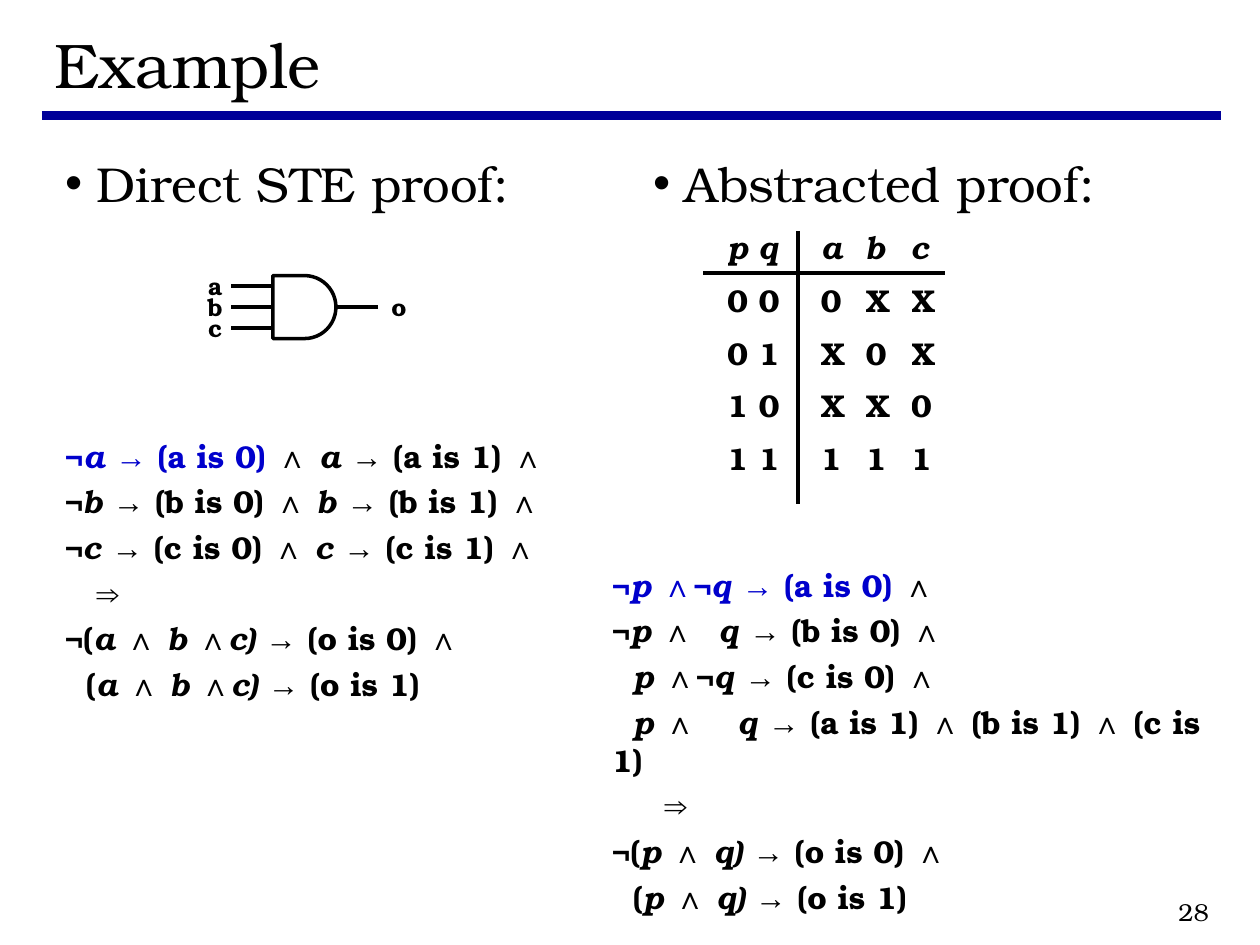
from itertools import groupby
from lxml.etree import SubElement
from pptx import Presentation
from pptx.dml.color import RGBColor
from pptx.enum.shapes import MSO_CONNECTOR, MSO_SHAPE
from pptx.enum.text import MSO_ANCHOR, MSO_AUTO_SIZE, PP_ALIGN
from pptx.oxml.ns import qn
from pptx.util import Inches, Pt

THEME = {
    "font": "TeX Gyre Bonum", "sign": "Arial",
    "ink": RGBColor(0, 0, 0), "blue": RGBColor(0, 0, 0xCC),
    "rule": RGBColor(0, 0, 0x99),
    "title": Pt(36), "body": Pt(28), "math": Pt(18), "small": Pt(14),
}
SIGNS = "¬→∧⇒"

deck = Presentation()
deck.slide_width, deck.slide_height = Inches(10), Inches(7.5)
UNIT = deck.slide_width / 120  # the slide is a grid of 120 columns by 90 rows
slide = deck.slides.add_slide(deck.slide_layouts[3])
shapes = slide.shapes


def write(par, text, size, bold=False, color="ink"):
    """Add runs: *stars* mark italics, and logic signs get their own font."""
    for n, part in enumerate(text.split("*")):
        for sign, chars in groupby(part, lambda c: c in SIGNS):
            run = par.add_run()
            run.text = "".join(chars)
            look = {"name": THEME["sign" if sign else "font"],
                    "size": THEME[size], "bold": bold, "italic": n % 2 == 1}
            for key, value in look.items():
                setattr(run.font, key, value)
            run.font.color.rgb = THEME[color]


def stroke(x1, y1, x2, y2, color="ink", width=2):
    ends = [round(v * UNIT) for v in (x1, y1, x2, y2)]
    line = shapes.add_connector(MSO_CONNECTOR.STRAIGHT, *ends)
    line.line.color.rgb = THEME[color]
    line.line.width = Pt(width)
    SubElement(line._element.spPr, qn("a:effectLst"))


# Title and the two headings
stroke(4, 11, 116.3, 11, "rule", 5)
heads = [
    (0, "Example", "title", (4, 2, 112.3, 8)),
    (1, "Direct STE proof:", "body", (5, 14, 55.3, 7)),
    (2, "Abstracted proof:", "body", (61, 14, 55.3, 8)),
]
for idx, text, size, area in heads:
    holder = slide.placeholders[idx]
    for key, value in zip(("left", "top", "width", "height"), area):
        setattr(holder, key, round(value * UNIT))
    frame = holder.text_frame
    frame.auto_size = MSO_AUTO_SIZE.NONE
    frame.vertical_anchor = MSO_ANCHOR.TOP if idx else MSO_ANCHOR.MIDDLE
    par = frame.paragraphs[0]
    par.alignment = PP_ALIGN.LEFT
    par.space_before = Pt(0)
    if idx:
        props = par._p.get_or_add_pPr()
        props.set("marL", str(Inches(0.25)))
        props.set("indent", str(-Inches(0.25)))
        SubElement(props, qn("a:buChar"), char="•")
    write(par, text, size)

# AND gate
gate = shapes.add_shape(MSO_SHAPE.FLOWCHART_DELAY,
                        *[round(v * UNIT) for v in (26, 26.25, 6, 6)])
gate.shadow.inherit = False
gate.fill.background()
gate.line.color.rgb = THEME["ink"]
gate.line.width = Pt(2)
MID = 29.25
boxes = []
for n, name in enumerate("abc"):
    y = MID + 2 * (n - 1)
    stroke(26, y, 22, y)
    boxes.append(((17, y - 2, 7, 4), [(0, name)], "small", True, PP_ALIGN.CENTER))
stroke(36, MID, 32, MID)
boxes.append(((34, MID - 2, 8, 4), [(0, "o")], "small", True, PP_ALIGN.CENTER))

# Proofs: first-line indent in grid columns, then text; blue part before "|"
direct = [
    (0, "¬*a *→ (a is 0) |∧ *a *→ (a is 1) ∧"),
    (0, "¬*b *→ (b is 0) ∧ *b *→ (b is 1) ∧"),
    (0, "¬*c *→ (c is 0) ∧ *c *→ (c is 1) ∧"),
    (3, "⇒"),
    (0, "¬(*a *∧ *b *∧*c) *→ (o is 0) ∧"),
    (2, "(*a *∧ *b *∧*c) *→ (o is 1)"),
]
brief = [
    (0, "¬*p *∧¬*q *→ (a is 0) |∧"),
    (0, "¬*p *∧\t*q *→ (b is 0) ∧"),
    (2, "*p *∧¬*q *→ (c is 0) ∧"),
    (2, "*p *∧\t*q *→ (a is 1) ∧ (b is 1) ∧ (c is 1)"),
    (5, "⇒"),
    (0, "¬(*p *∧ *q) *→ (o is 0) ∧"),
    (2, "(*p *∧ *q) *→ (o is 1)"),
]
boxes += [
    ((5, 41, 49, 31), direct, "math", True, PP_ALIGN.LEFT),
    ((57.1, 53.3, 59, 35.3), brief, "math", True, PP_ALIGN.LEFT),
    ((91.3, 84.8, 25, 4), [(0, "28")], "small", False, PP_ALIGN.RIGHT),
]
for area, lines, size, bold, align in boxes:
    frame = shapes.add_textbox(*[round(v * UNIT) for v in area]).text_frame
    frame.word_wrap = True
    for n, (indent, text) in enumerate(lines):
        par = frame.add_paragraph() if n else frame.paragraphs[0]
        par.alignment = align
        par.space_before = Pt(4.5 if n else 0)
        props = par._p.get_or_add_pPr()
        if indent:
            props.set("marL", "0")
            props.set("indent", str(round(indent * UNIT)))
        if "\t" in text:
            tabs = SubElement(props, qn("a:tabLst"))
            SubElement(tabs, qn("a:tab"), pos=str(round(10.2 * UNIT)), algn="l")
        blue, bar, rest = text.rpartition("|")
        if bar:
            write(par, blue, size, bold, "blue")
        write(par, rest, size, bold)

# Truth table
rows = ["pqabc", "000XX", "01X0X", "10XX0", "11111"]
widths = [3, 5.9, 4.3, 4.3, 3.6]
area = (69.25, 21, sum(widths), 5 * len(rows))
table = shapes.add_table(len(rows), len(widths),
                         *[round(v * UNIT) for v in area]).table
table.first_row = table.horz_banding = False
for col, width in zip(table.columns, widths):
    col.width = round(width * UNIT)
for r, row in enumerate(rows):
    table.rows[r].height = round(5 * UNIT)
    for c, mark in enumerate(row):
        cell = table.cell(r, c)
        cell.fill.background()
        cell.vertical_anchor = MSO_ANCHOR.MIDDLE
        for side in ("left", "right", "top", "bottom"):
            setattr(cell, "margin_" + side, 0)
        write(cell.text_frame.paragraphs[0], mark if r else f"*{mark}*", "math", True)
stroke(67, 26, 90, 26)
stroke(76, 22, 76, 48)

deck.save("out.pptx")
